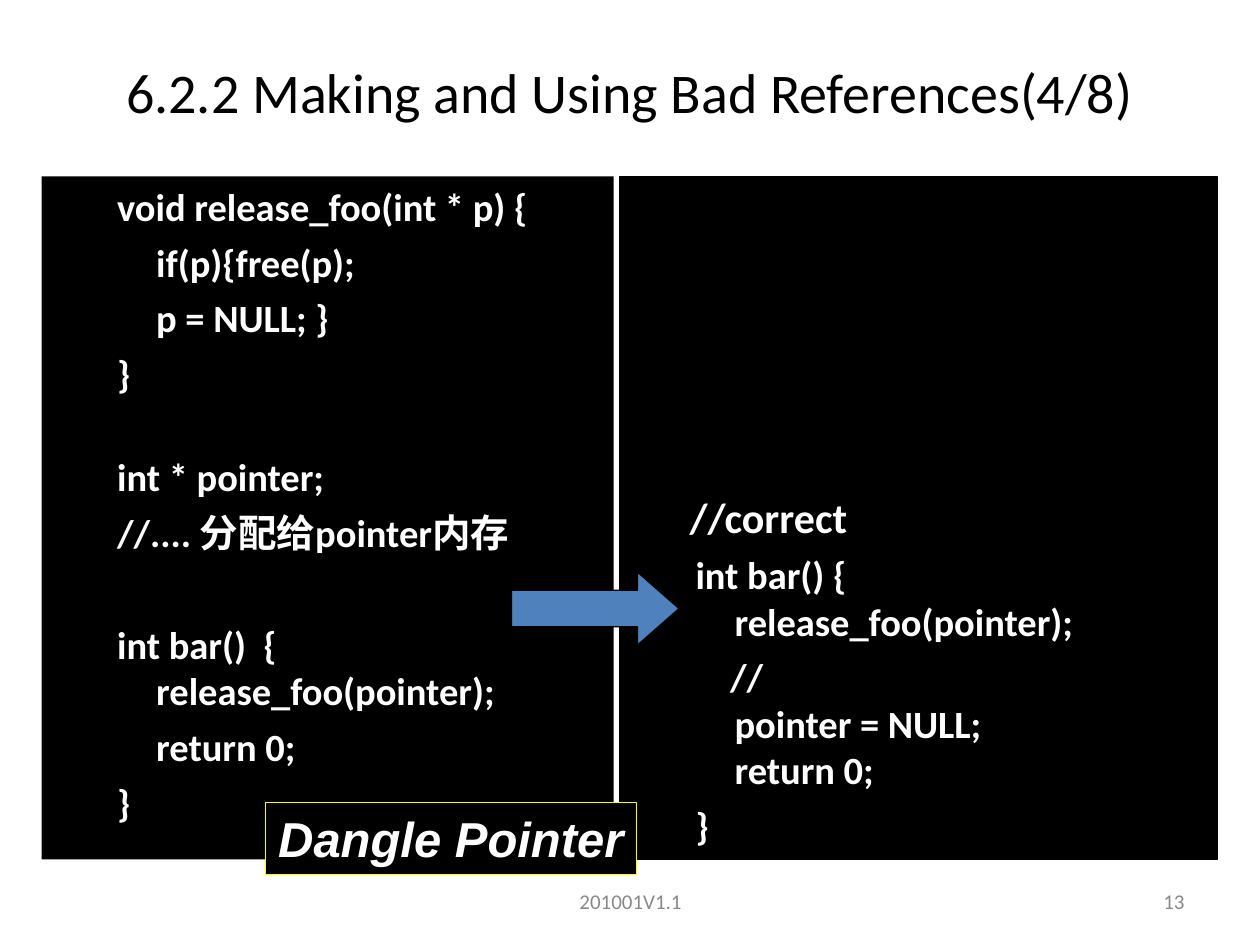
from pptx import Presentation, util as u
from pptx.dml.color import RGBColor
from pptx.enum import shapes, text
from lxml import etree

COLORS = {"code_bg": "000000", "code": "FFFFFF", "ink": "000000",
          "footer": "898989", "arrow": "4F81BD", "label_line": "FFFF00"}
LINE_GAP, BLOCK_GAP, BAR_GAP = 5.5, 32.4, 37.85

release_code = [
    ("void release_foo(int * p) {", 0),
    ("\tif(p){free(p);", LINE_GAP),
    ("\tp = NULL; }", LINE_GAP),
    ("}", LINE_GAP),
    ("int * pointer;", BLOCK_GAP),
    ("//.... 分配给pointer内存", LINE_GAP),
    ("int bar()  {", BAR_GAP),
    ("\trelease_foo(pointer);", 0),
    ("\treturn 0;", LINE_GAP),
    ("}", LINE_GAP),
]
correct_code = [
    ("      //correct", 0),
    ("int bar() {", LINE_GAP),
    ("\trelease_foo(pointer);", 0),
    ("    //", LINE_GAP),
    ("\tpointer = NULL;", 0),
    ("\treturn 0;", 0),
    ("}", LINE_GAP),
]


def place(shape, left, top, width, height):
    shape.left, shape.top = u.Inches(left), u.Inches(top)
    shape.width, shape.height = u.Inches(width), u.Inches(height)


def style(paragraph, size, color, font="Calibri", bold=False, italic=False):
    for run in paragraph.runs:
        run.font.size, run.font.name = u.Pt(size), font
        run.font.bold, run.font.italic = bold, italic
        run.font.color.rgb = RGBColor.from_string(COLORS[color])


prs = Presentation()
prs.slide_width, prs.slide_height = u.Inches(10), u.Inches(7.5)
slide = prs.slides.add_slide(prs.slide_layouts[3])

for words, left, width, align in [
    ("201001V1.1", 3.42, 3.17, text.PP_ALIGN.CENTER),
    ("13", 7.17, 2.33, text.PP_ALIGN.RIGHT),
]:
    footer = slide.shapes.add_textbox(u.Inches(left), u.Inches(6.95), u.Inches(width), u.Inches(0.4))
    footer.text_frame.word_wrap = True
    footer.text_frame.vertical_anchor = text.MSO_ANCHOR.MIDDLE
    footer.text_frame.text = words
    footer.text_frame.paragraphs[0].alignment = align
    style(footer.text_frame.paragraphs[0], 12, "footer")

title = slide.shapes.title
place(title, 0, 0.3, 10, 0.85)
title.text_frame.text = "6.2.2 Making and Using Bad References(4/8)"
title.text_frame.vertical_anchor = text.MSO_ANCHOR.MIDDLE
title.text_frame.paragraphs[0].alignment = text.PP_ALIGN.CENTER
style(title.text_frame.paragraphs[0], 32, "ink")

for index, left, width, top_margin, code in [
    (1, 0.33, 4.54, 0.05, release_code),
    (2, 4.92, 4.74, 2.5, correct_code),
]:
    panel = slide.placeholders[index]
    place(panel, left, 1.4, width, 5.42)
    panel.fill.solid()
    panel.fill.fore_color.rgb = RGBColor.from_string(COLORS["code_bg"])
    if code is correct_code:
        panel.line.color.rgb = RGBColor.from_string(COLORS["code_bg"])
        panel.line.width = u.Pt(0.75)
    frame = panel.text_frame
    frame.auto_size = text.MSO_AUTO_SIZE.NONE
    frame.margin_top = u.Inches(top_margin)
    frame.text = "\n".join(line for line, gap in code)
    for paragraph, (line, gap) in zip(frame.paragraphs, code):
        heading = line.endswith("//correct")
        paragraph.level = 0 if heading else 1
        paragraph.space_before = u.Pt(gap)
        props = paragraph._p.get_or_add_pPr()
        margin, hanging = (0.38, 0.38) if heading else (0.81, 0.31)
        props.set("marL", str(u.Inches(margin)))
        props.set("indent", str(-u.Inches(hanging)))
        etree.SubElement(props, "{http://schemas.openxmlformats.org/drawingml/2006/main}buNone")
        style(paragraph, 24 if heading else 22, "code", bold=True)

arrow = slide.shapes.add_shape(shapes.MSO_SHAPE.RIGHT_ARROW, u.Inches(4.06), u.Inches(4.54),
                               u.Inches(1.33), u.Inches(0.58))
arrow.adjustments[1] = 0.57
label = slide.shapes.add_shape(shapes.MSO_SHAPE.RECTANGLE, u.Inches(2.11), u.Inches(6.37),
                               u.Inches(2.94), u.Inches(0.57))
for shape, fill, line in [(arrow, "arrow", "ink"), (label, "code_bg", "label_line")]:
    shape.shadow.inherit = False
    shape.fill.solid()
    shape.fill.fore_color.rgb = RGBColor.from_string(COLORS[fill])
    shape.line.color.rgb = RGBColor.from_string(COLORS[line])
    shape.line.width = u.Pt(0.75)

label.text_frame.word_wrap = False
label.text_frame.auto_size = text.MSO_AUTO_SIZE.SHAPE_TO_FIT_TEXT
label.text_frame.vertical_anchor = text.MSO_ANCHOR.TOP
label.text_frame.text = "Dangle Pointer"
label.text_frame.paragraphs[0].alignment = text.PP_ALIGN.LEFT
style(label.text_frame.paragraphs[0], 28, "code", font="Arial", bold=True, italic=True)

prs.save("out.pptx")
